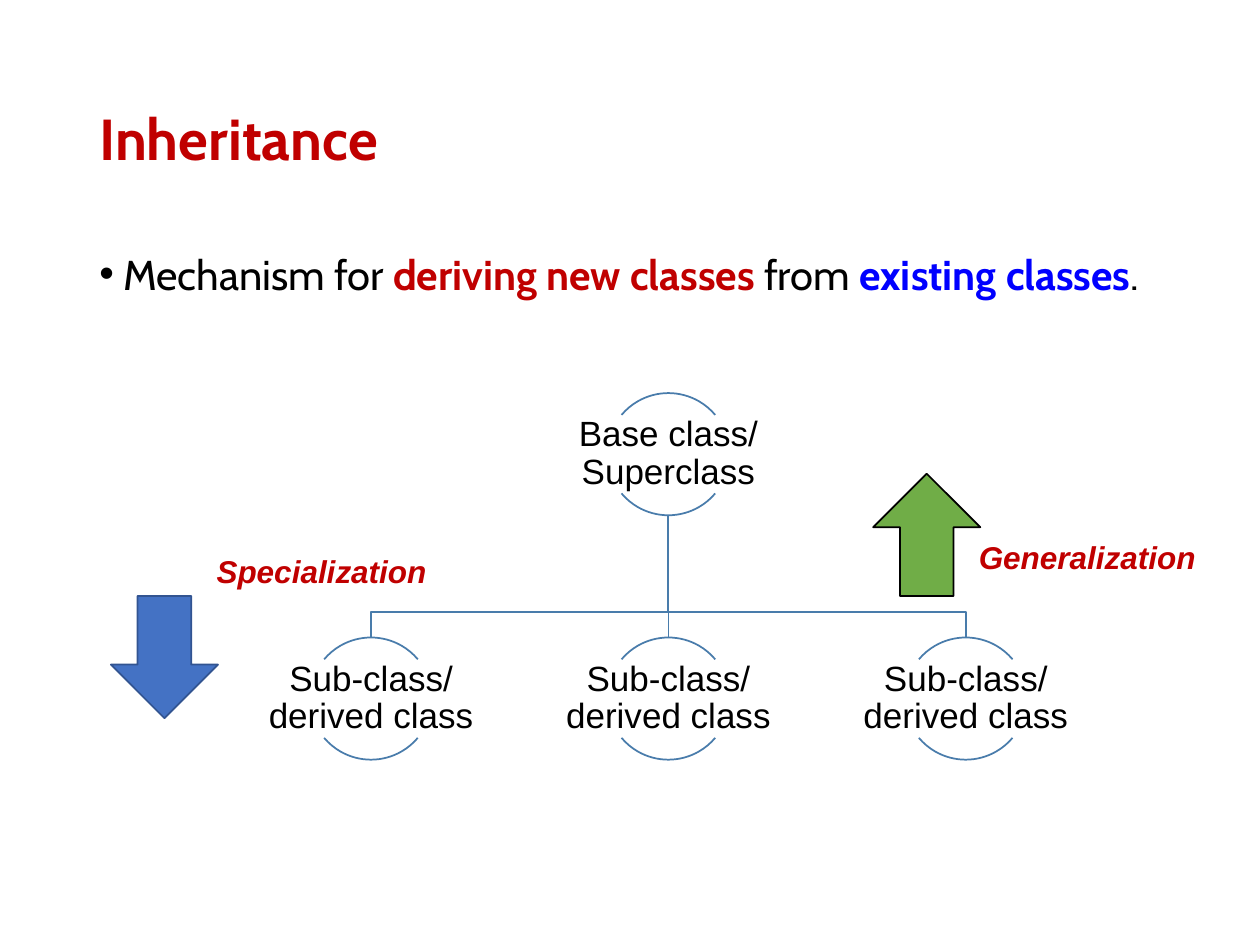
from lxml.etree import SubElement
from pptx import Presentation
from pptx.dml.color import RGBColor
from pptx.enum.shapes import MSO_CONNECTOR, MSO_SHAPE as Shape
from pptx.enum.text import MSO_ANCHOR as Anchor, PP_ALIGN as Align
from pptx.oxml.ns import qn
from pptx.util import Inches, Pt

RED, BLUE, BLACK, LINE = "C00000", "0000FF", "000000", "497CAB"

deck = Presentation()
deck.slide_width, deck.slide_height = Inches(10), Inches(7.5)
page = deck.slides.add_slide(deck.slide_layouts[6])
shapes = page.shapes
COL, ROW = deck.slide_width / 100, deck.slide_height / 75


def grid(left, top, width, height):
    """Turn columns and rows into lengths."""
    return [int(n * unit) for n, unit in zip((left, top, width, height), (COL, ROW) * 2)]


def add_text(area, spans, font, size, anchor=Anchor.TOP, spacing=1.0, wrap=True):
    """Add one paragraph made of (text, colour, bold) spans."""
    frame = shapes.add_textbox(*grid(*area)).text_frame
    frame.word_wrap, frame.vertical_anchor = wrap, anchor
    para = frame.paragraphs[0]
    para.line_spacing = spacing
    para.font.name, para.font.size = font, Pt(size)
    for text, color, bold in spans:
        span = para.add_run()
        span.text = text
        span.font.bold = bold
        span.font.color.rgb = RGBColor.from_string(color)
    return frame, para


add_text((6.9, 4, 86.2, 14.5), [("Inheritance", RED, True)], "Cabin", 33, Anchor.MIDDLE, 0.9)

sentence = [
    ("Mechanism for ", BLACK, False),
    ("deriving new classes ", RED, True),
    ("from ", BLACK, False),
    ("existing classes", BLUE, True),
    (".", BLACK, False),
]
frame, para = add_text((6.9, 20, 86.2, 6.2), sentence, "Cabin", 23.8, spacing=0.8)
para.space_before = Pt(7.5)
props = para._p.get_or_add_pPr()
props.set("marL", str(Inches(0.19)))
props.set("indent", str(-Inches(0.19)))
bullet_font = SubElement(props, qn("a:buFont"), typeface="Arial")
bullet = SubElement(props, qn("a:buChar"), char="•")
bullet_font.getparent().insert(props.index(props.find(qn("a:defRPr"))), bullet_font)
bullet_font.addnext(bullet)

# Class tree: one base class above three equally spaced sub-classes
MIDDLE, STEP, CIRCLE = 53.05, 23.6, 9.7
BASE_TOP, SUB_TOP, BEND = 31.2, 50.6, 48.6
BASE_BOTTOM = BASE_TOP + CIRCLE
sub_centers = [MIDDLE + STEP * k for k in (-1, 0, 1)]

for x in (sub_centers[0], sub_centers[2]):
    builder = shapes.build_freeform(int(MIDDLE * COL), int(BASE_BOTTOM * ROW))
    corners = [(MIDDLE, BEND), (x, BEND), (x, SUB_TOP)]
    builder.add_line_segments([(int(a * COL), int(b * ROW)) for a, b in corners], close=False)
    branch = builder.convert_to_shape()
    branch.shadow.inherit = False
    branch.fill.background()
    branch.line.color.rgb = RGBColor.from_string(LINE)
    branch.line.width = Pt(1)

stem = shapes.add_connector(MSO_CONNECTOR.STRAIGHT, *grid(MIDDLE, BASE_BOTTOM, MIDDLE, SUB_TOP))
stem.line.color.rgb = RGBColor.from_string(LINE)
stem.line.width = Pt(1)
SubElement(stem._element.spPr, qn("a:effectLst"))

nodes = [(MIDDLE, BASE_TOP, "Base class/ Superclass")]
nodes += [(x, SUB_TOP, "Sub-class/ derived class") for x in sub_centers]
for x, top, label in nodes:
    for start, end in ((132, 192), (24, 84)):  # 220° to 320°, 40° to 140°
        arc = shapes.add_shape(Shape.ARC, *grid(x - CIRCLE / 2, top, CIRCLE, CIRCLE))
        arc.adjustments[0], arc.adjustments[1] = start, end
        arc.shadow.inherit = False
        arc.fill.background()
        arc.line.color.rgb = RGBColor.from_string(LINE)
        arc.line.width = Pt(1)
    area = (x - 9.75, top + 1.75, 19.5, 6.2)
    frame, para = add_text(area, [(label, BLACK, False)], "Arial", 20, Anchor.MIDDLE, 0.9)
    para.alignment = Align.CENTER
    frame.margin_left = frame.margin_right = Inches(0.01)
    frame.margin_top = frame.margin_bottom = Inches(0.01)

# Direction arrows with their labels
directions = [
    (Shape.UP_ARROW, 69.3, 37.6, "70AD47", BLACK, "Generalization", (76.7, 42.2, 19.4, 4)),
    (Shape.DOWN_ARROW, 8.8, 47.3, "4472C4", "325491", "Specialization", (16.2, 43.3, 18.8, 4)),
]
for kind, left, top, fill, outline, label, area in directions:
    arrow = shapes.add_shape(kind, *grid(left, top, 8.5, 9.7))
    arrow.shadow.inherit = False
    arrow.fill.solid()
    arrow.fill.fore_color.rgb = RGBColor.from_string(fill)
    arrow.line.color.rgb = RGBColor.from_string(outline)
    arrow.line.width = Pt(1)
    frame, para = add_text(area, [(label, RED, True)], "Arial", 18, wrap=False)
    para.font.italic = True

deck.save("out.pptx")
